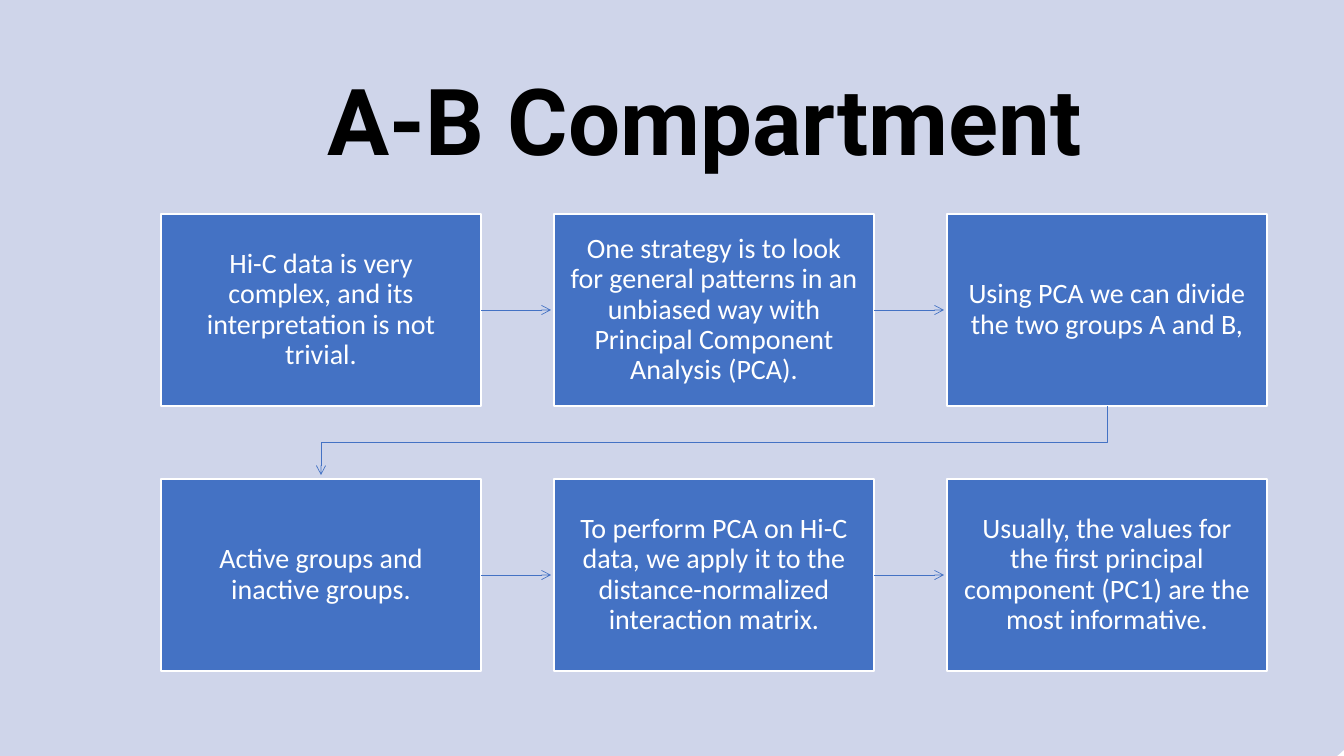
import pptx
import pptx.util
import pptx.dml.color
import pptx.enum.shapes
import pptx.enum.text
import pptx.oxml
import pptx.oxml.ns

PX = 914400 / 100.8
THEME = {
    "panel": pptx.dml.color.RGBColor.from_string("CFD5EA"),
    "box": pptx.dml.color.RGBColor.from_string("4472C4"),
    "white": pptx.dml.color.RGBColor.from_string("FFFFFF"),
    "black": pptx.dml.color.RGBColor.from_string("000000"),
    "title_size": pptx.util.Pt(66),
    "box_size": pptx.util.Pt(20),
    "box_line": pptx.util.Pt(1),
    "arrow_line": pptx.util.Pt(0.5),
}
LEFT, TOP, BOX_W, BOX_H = 161, 214, 320, 192
STEP_X, STEP_Y = 393, 265
ARROW_LEN = 70
STEPS = [
    [
        "Hi-C data is very complex, and its interpretation is not trivial.",
        "One strategy is to look for general patterns in an unbiased way with Principal Component Analysis (PCA).",
        "Using PCA we can divide the two groups A and B,",
    ],
    [
        "Active groups and inactive groups.",
        "To perform PCA on Hi-C data, we apply it to the distance-normalized interaction matrix.",
        "Usually, the values for the first principal component (PC1) are the most informative.",
    ],
]


def px(*values):
    return [pptx.util.Emu(round(v * PX)) for v in values]


def write(sp, text, inset, spacing, font):
    tf = sp.text_frame
    tf.text = text
    frame = {
        "word_wrap": True,
        "auto_size": pptx.enum.text.MSO_AUTO_SIZE.NONE,
        "vertical_anchor": pptx.enum.text.MSO_ANCHOR.MIDDLE,
    }
    for side in ("left", "right", "top", "bottom"):
        frame["margin_" + side] = px(inset)[0]
    for name, value in frame.items():
        setattr(tf, name, value)
    p = tf.paragraphs[0]
    p.alignment = pptx.enum.text.PP_ALIGN.CENTER
    p.line_spacing = spacing
    r = p.runs[0]
    r.font.color.rgb = font.pop("color")
    for name, value in font.items():
        setattr(r.font, name, value)


prs = pptx.Presentation()
prs.slide_width, prs.slide_height = px(1344, 756)
slide = prs.slides.add_slide(prs.slide_layouts[5])
shapes = slide.shapes
shape_kind = pptx.enum.shapes.MSO_SHAPE

title = shapes.title
for name, value in zip(("left", "top", "width", "height"), px(298, 65, 814, 108)):
    setattr(title, name, value)
write(title, "A-B Compartment", 0, 1.0, {
    "name": "Roboto", "size": THEME["title_size"], "bold": True, "color": THEME["black"],
})

panel = shapes.add_shape(shape_kind.ROUNDED_RECTANGLE, *px(-34, -31, 1402, 804))
panel.adjustments[0] = 0.1
panel.shadow.inherit = False
panel.fill.solid()
panel.fill.fore_color.rgb = THEME["panel"]
panel.line.fill.background()
title._element.addprevious(panel._element)

arrows = []
for row, texts in enumerate(STEPS):
    for col, text in enumerate(texts):
        x, y = LEFT + col * STEP_X, TOP + row * STEP_Y
        sp = shapes.add_shape(shape_kind.RECTANGLE, *px(x, y, BOX_W, BOX_H))
        sp.shadow.inherit = False
        sp.fill.solid()
        sp.fill.fore_color.rgb = THEME["box"]
        sp.line.color.rgb = THEME["white"]
        sp.line.width = THEME["box_line"]
        write(sp, text, 16, 0.9, {
            "name": "Calibri", "size": THEME["box_size"], "color": THEME["white"],
        })
        if col < len(texts) - 1:
            start, mid = x + BOX_W, y + BOX_H / 2
            arrows.append(shapes.add_connector(
                pptx.enum.shapes.MSO_CONNECTOR.STRAIGHT,
                *px(start, mid, start + ARROW_LEN, mid)))

first_x = LEFT + BOX_W / 2
last_x = first_x + 2 * STEP_X
row_end = TOP + BOX_H
turn_y = (row_end + TOP + STEP_Y) / 2
fb = shapes.build_freeform(*px(last_x, row_end))
fb.add_line_segments(
    [px(last_x, turn_y), px(first_x, turn_y), px(first_x, TOP + STEP_Y - 4)], close=False)
elbow = fb.convert_to_shape()
elbow.fill.background()
arrows.append(elbow)

for sp in arrows:
    sp.line.color.rgb = THEME["box"]
    sp.line.width = THEME["arrow_line"]
    ns = pptx.oxml.ns.nsdecls("a")
    sp.line._get_or_add_ln().append(pptx.oxml.parse_xml(f'<a:tailEnd {ns} type="arrow"/>'))
    sp._element.spPr.append(pptx.oxml.parse_xml(f"<a:effectLst {ns}/>"))

prs.save("out.pptx")
